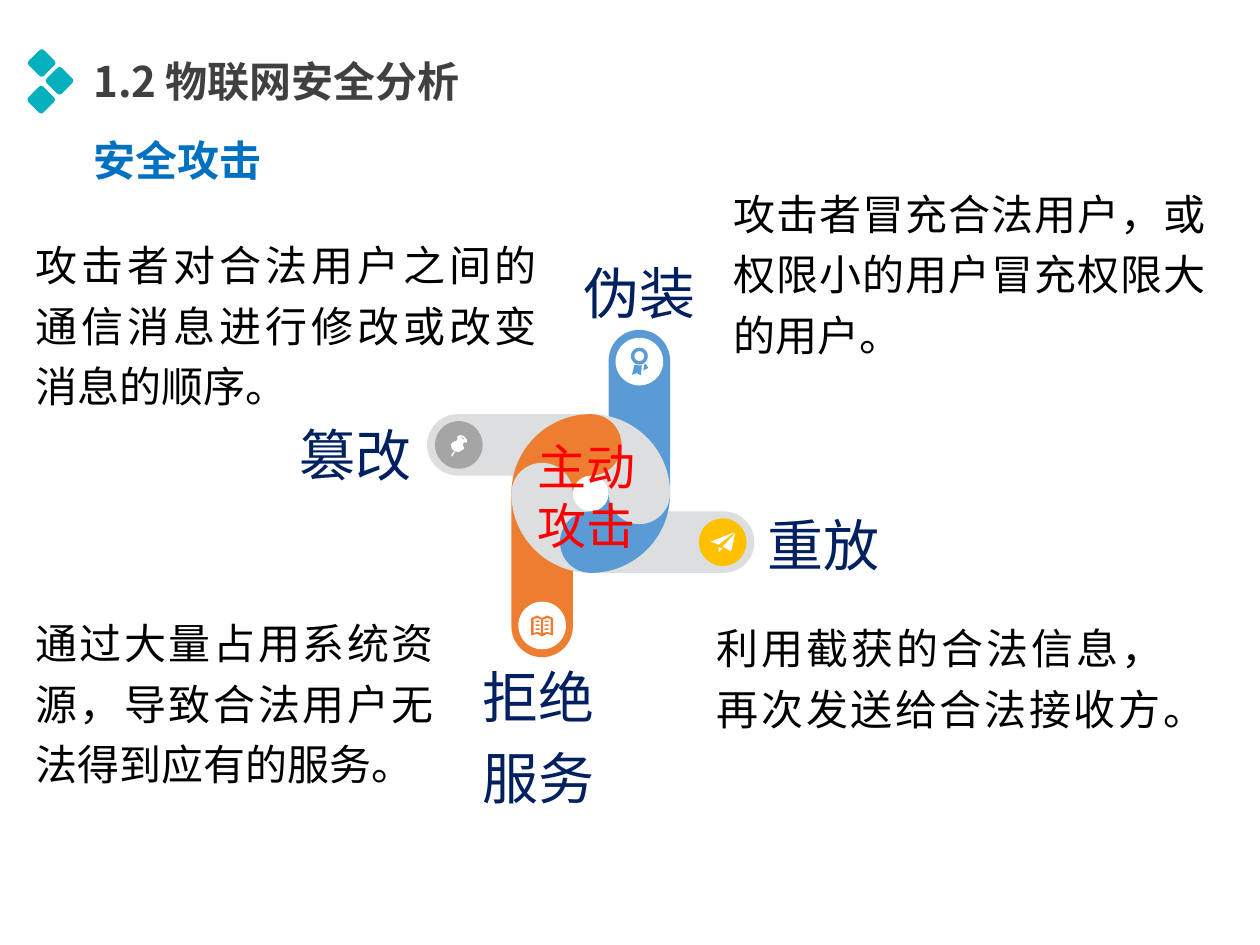
from math import cos, radians, sin

from lxml import etree
from pptx import Presentation
from pptx.dml.color import RGBColor
from pptx.enum.shapes import MSO_SHAPE
from pptx.enum.text import MSO_ANCHOR, MSO_AUTO_SIZE, PP_ALIGN
from pptx.oxml.ns import qn
from pptx.util import Cm, Pt

OVAL, ROUNDED = MSO_SHAPE.OVAL, MSO_SHAPE.ROUNDED_RECTANGLE
TOP, MIDDLE = MSO_ANCHOR.TOP, MSO_ANCHOR.MIDDLE
LEFT, CENTER, JUSTIFY = PP_ALIGN.LEFT, PP_ALIGN.CENTER, PP_ALIGN.JUSTIFY

TEAL = RGBColor(0x04, 0xB0, 0xBE)
ORANGE = RGBColor(0xED, 0x7D, 0x31)
BLUE = RGBColor(0x5B, 0x9B, 0xD5)
GOLD = RGBColor(0xFF, 0xC0, 0x00)
SILVER = RGBColor(0xDC, 0xDE, 0xE0)
GREY = RGBColor(0xA5, 0xA5, 0xA5)
WHITE = RGBColor(0xFF, 0xFF, 0xFF)
BLACK = RGBColor(0x00, 0x00, 0x00)
RED = RGBColor(0xFF, 0x00, 0x00)
NAVY = RGBColor(0x00, 0x20, 0x60)
DARK = RGBColor(0x40, 0x40, 0x40)
HEADING_BLUE = RGBColor(0x00, 0x70, 0xC0)

FONT, CENTER_FONT = "Noto Sans CJK SC", "Noto Sans CJK JP"
HEAD_INSETS = (0.18, 0.1, 0.18, 0.1)
BODY_INSETS = (0.15, 0, 0.45, 0)

# Pinwheel, in cm
HUB = (11.91, 9.95)
OUTER, INNER = 1.6, 0.36
MID, TIP = (OUTER + INNER) / 2, (OUTER - INNER) / 2
ARM, BADGE_AT, BADGE_R = 2.68, 2.66, 0.48


def arc(cx, cy, radius, start, end, steps=24):
    """Points along an arc; angles in degrees, clockwise from the right."""
    angles = [radians(start + (end - start) * i / steps) for i in range(steps + 1)]
    return [(cx + radius * cos(a), cy + radius * sin(a)) for a in angles]


def turn(points, quarters):
    """Rotate points about the origin by clockwise quarter turns."""
    for _ in range(quarters):
        points = [(-y, x) for x, y in points]
    return points


def mirror(points):
    return [(-x, y) for x, y in points]


def bar(x, y, w, h):
    return [(x, y), (x + w, y), (x + w, y + h), (x, y + h)]


class Deck:
    def __init__(self, width, height):
        self.prs = Presentation()
        self.prs.slide_width, self.prs.slide_height = Cm(width), Cm(height)
        self.s = self.prs.slides.add_slide(self.prs.slide_layouts[5])

    def paint(self, sp, color):
        sp.shadow.inherit = False
        sp.fill.solid()
        sp.fill.fore_color.rgb = color
        sp.line.fill.background()

    def shape(self, kind, x, y, w, h, color):
        sp = self.s.shapes.add_shape(kind, Cm(x), Cm(y), Cm(w), Cm(h))
        self.paint(sp, color)
        return sp

    def outline(self, contours, origin, color):
        """Draw closed contours, given relative to origin, as one shape."""
        ox, oy = origin
        builder = None
        for contour in contours:
            pts = [(Cm(ox + x), Cm(oy + y)) for x, y in contour]
            if builder is None:
                builder = self.s.shapes.build_freeform(*pts[0])
            else:
                builder.move_to(*pts[0])
            builder.add_line_segments(pts[1:], close=True)
        self.paint(builder.convert_to_shape(), color)

    def set_text(self, sp, text, size, color, align, anchor=TOP, insets=(0, 0, 0, 0),
                 spacing=1.0, bold=False, font=FONT):
        tf = sp.text_frame
        tf.word_wrap, tf.auto_size = True, MSO_AUTO_SIZE.NONE
        tf.vertical_anchor = anchor
        tf.margin_left, tf.margin_top, tf.margin_right, tf.margin_bottom = map(Cm, insets)
        for i, line in enumerate(text.split("\n")):
            p = tf.add_paragraph() if i else tf.paragraphs[0]
            p.alignment, p.line_spacing = align, spacing
            r = p.add_run()
            r.text = line
            r.font.size, r.font.bold, r.font.name = Pt(size), bold, font
            r.font.color.rgb = color
            ea = etree.SubElement(r.font._element, qn("a:ea"))
            ea.set("typeface", font)

    def text(self, x, y, w, h, *args, **style):
        self.set_text(self.s.shapes.add_textbox(Cm(x), Cm(y), Cm(w), Cm(h)), *args, **style)

    def title(self, x, y, w, h, *args, **style):
        sp = self.s.shapes.title
        sp.left, sp.top, sp.width, sp.height = Cm(x), Cm(y), Cm(w), Cm(h)
        self.set_text(sp, *args, **style)

    def badge(self, quarters, color, icon, icon_color):
        [(x, y)] = turn([(MID, -BADGE_AT)], quarters)
        cx, cy = HUB[0] + x, HUB[1] + y
        self.shape(OVAL, cx - BADGE_R, cy - BADGE_R, 2 * BADGE_R, 2 * BADGE_R, color)
        self.outline(icon, (cx, cy), icon_color)


MEDAL = [
    arc(0, -0.11, 0.17, 0, 360), arc(0, -0.11, 0.1, 0, 360),
    [(-0.1, 0.07), (-0.15, 0.27), (-0.05, 0.23), (0.03, 0.28), (0.05, 0.08)],
    [(0.13, 0.05), (0.1, 0.06), (0.08, 0.18), (0.18, 0.13)],
]
PLANE = [
    [(-0.08, 0.2), (0, 0.13), (-0.08, 0.1)],
    [(-0.25, -0.01), (0.24, -0.2), (-0.08, 0.05)],
    [(0.25, -0.18), (0, 0.09), (0.16, 0.18), (0.18, 0.15)],
]
COVER = [(0, -0.15), (0.1, -0.2), (0.22, -0.15), (0.22, 0.2), (0.1, 0.17), (0, 0.22)]
PAGE = [(0.02, -0.12), (0.1, -0.15), (0.17, -0.13), (0.17, 0.15), (0.1, 0.13), (0.02, 0.15)]
HALF_BOOK = [COVER, PAGE] + [bar(0.05, y, 0.08, 0.03) for y in (-0.1, -0.02, 0.06)]
BOOK = HALF_BOOK + [mirror(c) for c in HALF_BOOK]
PIN = [
    [(0.1, -0.05), (0.16, -0.05), (0.17, -0.1), (0.1, -0.18), (0.03, -0.2),
     (-0.03, -0.17), (-0.03, -0.1), (-0.05, -0.08), (-0.13, -0.05), (-0.16, 0),
     (-0.14, 0.08), (-0.08, 0.13), (0, 0.14), (0.08, 0.1), (0.11, 0.07), (0.08, 0)],
    [(0.06, -0.16), (0.12, -0.12), (0.1, -0.11), (0.05, -0.14)],
    [(-0.1, 0.13), (-0.15, 0.2), (-0.15, 0.23), (-0.13, 0.23), (-0.08, 0.15)],
]


def draw_pinwheel(deck):
    arm = [(OUTER, 0), (INNER, 0)] + arc(MID, -ARM, TIP, 180, 360)
    blade = (arc(0, 0, OUTER, -90, 0) + arc(MID, 0, TIP, 0, 180)
             + arc(0, 0, INNER, 0, -90))
    # The last blade is hollowed so that the first one's tip stays on top.
    last_blade = blade + arc(0, -MID, TIP, 90, -90)
    for quarters, color in ((2, ORANGE), (1, SILVER), (0, BLUE), (3, SILVER)):
        deck.outline([turn(arm, quarters)], HUB, color)
    for quarters, color, form in ((0, SILVER, blade), (3, ORANGE, blade),
                                  (2, SILVER, blade), (1, BLUE, last_blade)):
        deck.outline([turn(form, quarters)], HUB, color)
    deck.badge(0, WHITE, MEDAL, BLUE)
    deck.badge(1, GOLD, PLANE, WHITE)
    deck.badge(2, WHITE, BOOK, ORANGE)
    deck.badge(3, GREY, PIN, WHITE)


def main():
    deck = Deck(25.4, 19.05)
    deck.title(1.7, 1.02, 8.76, 1.22, "1.2 物联网安全分析", 24, DARK, LEFT,
               insets=HEAD_INSETS, bold=True)
    deck.text(1.7, 2.62, 6.5, 1.22, "安全攻击", 24, HEADING_BLUE, LEFT,
              insets=HEAD_INSETS, bold=True)

    side = 0.43
    for cx, cy in ((0.84, 1.27), (1.2, 1.63), (0.83, 2.01)):
        sp = deck.shape(ROUNDED, cx - side / 2, cy - side / 2, side, side, TEAL)
        sp.adjustments[0] = 0.15
        sp.rotation = 45

    draw_pinwheel(deck)
    deck.text(10.74, 8.81, 2.18, 2.39, "主动\n攻击", 28, RED, CENTER, font=CENTER_FONT)

    body = dict(anchor=MIDDLE, insets=BODY_INSETS, spacing=1.2)
    for box, label in (
        ((5.72, 8.31, 3.18, 1.42), "篡改"),
        ((11.46, 5.05, 3.18, 1.42), "伪装"),
        ((15.16, 10.13, 3.18, 1.42), "重放"),
        ((9.55, 13.34, 2.92, 2.74), "拒绝\n服务"),
    ):
        deck.text(*box, label, 32, NAVY, CENTER, **body)
    for box, detail in (
        ((0.56, 4.45, 10.72, 4.01), "攻击者对合法用户之间的通信消息进行修改或改变消息的顺序。"),
        ((14.63, 3.28, 10.13, 4.29), "攻击者冒充合法用户，或权限小的用户冒充权限大的用户。"),
        ((14.3, 11.91, 9.6, 3.33), "利用截获的合法信息，再次发送给合法接收方。"),
        ((0.56, 11.91, 8.64, 4.34), "通过大量占用系统资源，导致合法用户无法得到应有的服务。"),
    ):
        deck.text(*box, detail, 24, BLACK, JUSTIFY, **body)

    deck.prs.save("out.pptx")


if __name__ == "__main__":
    main()
